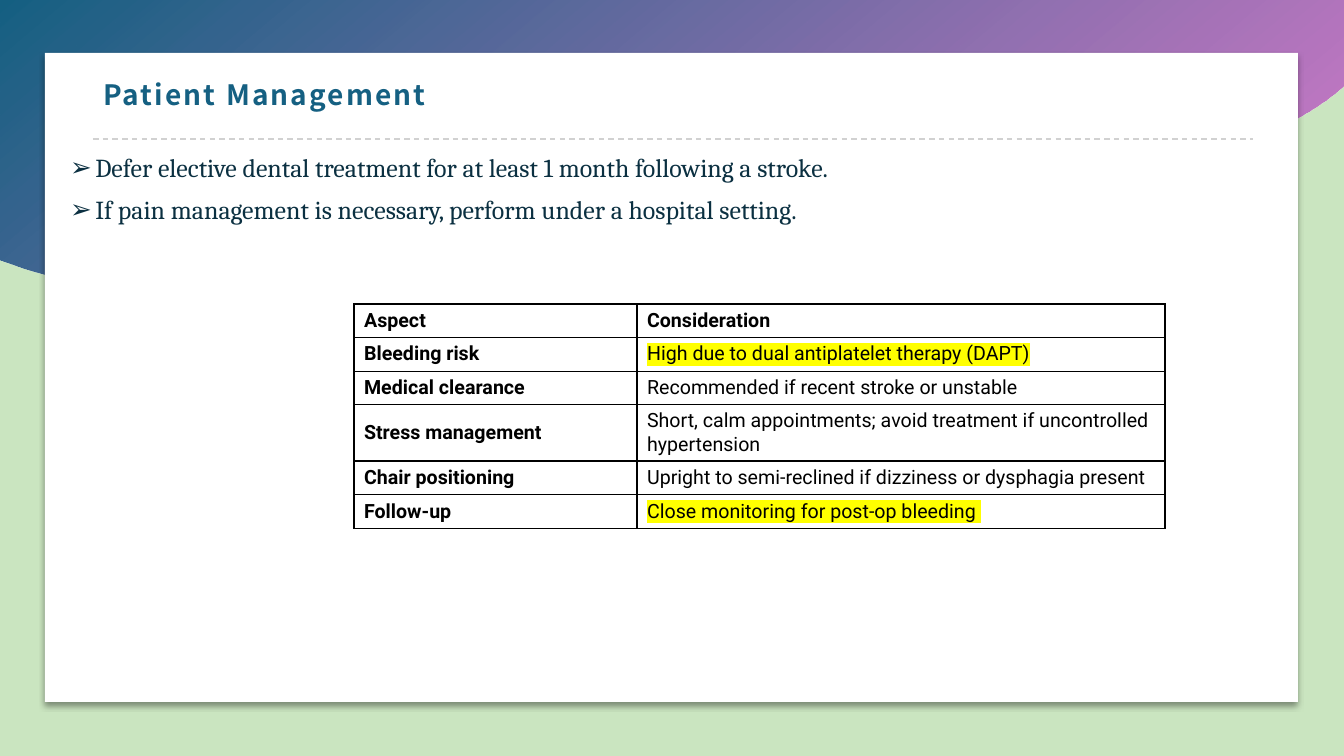
from lxml import etree
from pptx import Presentation
from pptx import util as u
from pptx.dml.color import RGBColor
from pptx.enum import dml, shapes, text
from pptx.oxml import parse_xml
from pptx.oxml.ns import qn

PX = 914400 / 100.8
NS = 'xmlns:a="http://schemas.openxmlformats.org/drawingml/2006/main"'


def px(n):
    return u.Emu(round(n * PX))


def rgb(h):
    return RGBColor.from_string(h)


def apply(obj, values):
    for name, value in values.items():
        setattr(obj, name, value)


def bezier(p0, p1, p2, p3, steps=30):
    for i in range(1, steps + 1):
        t = i / steps
        yield tuple((1 - t) ** 3 * a + 3 * t * (1 - t) ** 2 * b + 3 * t * t * (1 - t) * c + t ** 3 * d
                    for a, b, c, d in zip(p0, p1, p2, p3))


class SlideBuilder:
    TITLE = dict(size=u.Pt(20), name="Noto Sans CJK JP", bold=True)
    BODY = dict(size=u.Pt(18.5), name="Cambria", bold=False)
    CELL = dict(size=u.Pt(14), name="Roboto")

    def __init__(self, prs, background):
        self.s = prs.slides.add_slide(prs.slide_layouts[1])
        fill = self.s.background.fill
        fill.solid()
        fill.fore_color.rgb = rgb(background)

    def run(self, p, words, style, color, highlight=None, **extra):
        r = p.add_run()
        r.text = words
        apply(r.font, {**style, **extra})
        r.font.color.rgb = rgb(color)
        rPr = r.font._element
        if highlight:
            rPr.find(qn("a:solidFill")).addnext(parse_xml(
                f'<a:highlight {NS}><a:srgbClr val="{highlight}"/></a:highlight>'))
        return rPr

    def wave(self, start, curves, corner, stops, alpha, angle):
        points, here = [], start
        for curve in curves:
            points += bezier(here, *curve)
            here = curve[-1]
        tenths = [(x * 10, y * 10) for x, y in [start, *points, corner]]
        fb = self.s.shapes.build_freeform(0, 0, scale=PX / 10)
        fb.add_line_segments(tenths, close=True)
        sp = fb.convert_to_shape()
        sp.shadow.inherit = False
        sp.line.fill.background()
        sp.fill.gradient()
        sp.fill.gradient_angle = 360 - angle
        for stop, color in zip(sp.fill.gradient_stops, stops):
            stop.color.rgb = rgb(color)
        last = sp._element.spPr.findall(".//" + qn("a:srgbClr"))[-1]
        etree.SubElement(last, qn("a:alpha")).set("val", str(alpha * 1000))

    def card(self, x, y, w, h, color):
        sp = self.s.shapes.add_shape(shapes.MSO_SHAPE.RECTANGLE, px(x), px(y), px(w), px(h))
        sp.fill.solid()
        sp.fill.fore_color.rgb = rgb(color)
        sp.line.fill.background()
        sp.shadow.inherit = False
        sp._element.spPr.find(qn("a:effectLst")).append(parse_xml(
            f'<a:outerShdw {NS} blurRad="{u.Pt(4)}" dist="{u.Pt(3)}" dir="5400000" algn="t" '
            'rotWithShape="0"><a:srgbClr val="000000"><a:alpha val="40000"/></a:srgbClr></a:outerShdw>'))

    def rule(self, x1, x2, y, color):
        line = self.s.shapes.add_connector(shapes.MSO_CONNECTOR.STRAIGHT, px(x1), px(y), px(x2), px(y))
        line.line.color.rgb = rgb(color)
        apply(line.line, dict(width=u.Pt(1), dash_style=dml.MSO_LINE.DASH))
        etree.SubElement(line._element.spPr, qn("a:effectLst"))

    def place(self, idx, x, y, w, h, anchor):
        sp = self.s.placeholders[idx]
        apply(sp, dict(left=px(x), top=px(y), width=px(w), height=px(h)))
        apply(sp.text_frame, dict(vertical_anchor=anchor, word_wrap=True, auto_size=text.MSO_AUTO_SIZE.NONE))
        self.s.shapes._spTree.append(sp._element)  # bring above the card
        return sp.text_frame

    def title(self, words, box, color):
        p = self.place(0, *box, text.MSO_ANCHOR.MIDDLE).paragraphs[0]
        apply(p, dict(alignment=text.PP_ALIGN.LEFT, line_spacing=0.9))
        self.run(p, words, self.TITLE, color).set("spc", "150")

    def bullets(self, items, box, color):
        tf = self.place(1, *box, text.MSO_ANCHOR.TOP)
        for i, item in enumerate(items):
            p = tf.add_paragraph() if i else tf.paragraphs[0]
            apply(p, dict(line_spacing=0.9, space_before=u.Pt(10), alignment=text.PP_ALIGN.LEFT))
            pPr = p._p.get_or_add_pPr()
            pPr.set("marL", str(u.Inches(0.25)))
            pPr.set("indent", str(-u.Inches(0.25)))
            etree.SubElement(pPr, qn("a:buFont")).set("typeface", "Wingdings 3")
            pPr[-1].set("typeface", "Arial")
            etree.SubElement(pPr, qn("a:buChar")).set("char", "➢")
            self.run(p, item, self.BODY, color)

    def table(self, rows, x, y, widths, heights, color, highlight, marked):
        frame = self.s.shapes.add_table(len(rows), len(widths), px(x), px(y), px(sum(widths)), px(sum(heights)))
        tbl = frame.table
        apply(tbl, dict(first_row=False, horz_banding=False))
        for col, w in zip(tbl.columns, widths):
            col.width = px(w)
        for row, h in zip(tbl.rows, heights):
            row.height = px(h)
        for i, words in enumerate(rows):
            for j, word in enumerate(words):
                cell = tbl.cell(i, j)
                cell.vertical_anchor = text.MSO_ANCHOR.MIDDLE
                self.run(cell.text_frame.paragraphs[0], word, self.CELL, color,
                         highlight if j and i in marked else None, bold=i == 0 or j == 0)
                self.borders(cell, color)
                cell.fill.background()

    def borders(self, cell, color):
        tcPr = cell._tc.get_or_add_tcPr()
        for side in "LRTB":
            tcPr.append(parse_xml(
                f'<a:ln{side} {NS} w="{u.Pt(1)}"><a:solidFill><a:srgbClr val="{color}"/>'
                f'</a:solidFill></a:ln{side}>'))


def main():
    prs = Presentation()
    apply(prs, dict(slide_width=px(1344), slide_height=px(756)))
    b = SlideBuilder(prs, "CAE5C0")

    # Backdrop: gradient wave, white card, dashed rule
    b.wave((0, 260),
           [((123, 306), (268, 313), (396, 276)),
            ((534, 237), (653, 152), (798, 137)),
            ((943, 122), (1097, 181), (1237, 143)),
            ((1277, 132), (1314, 112), (1344, 86))],
           (1344, 0), ("156082", "D86ECC"), alpha=90, angle=50)
    b.card(45, 53, 1253, 649, "FFFFFF")
    b.rule(93, 1253, 139, "D1D1D1")

    # Title and list
    b.title("Patient Management", (93, 64, 1159, 64), "156082")
    b.bullets(["Defer elective dental treatment for at least 1 month following a stroke.",
               "If pain management is necessary, perform under a hospital setting."],
              (60, 150, 1030, 86), "0B3041")

    # Considerations table
    b.table([("Aspect", "Consideration"),
             ("Bleeding risk", "High due to dual antiplatelet therapy (DAPT)"),
             ("Medical clearance", "Recommended if recent stroke or unstable"),
             ("Stress management", "Short, calm appointments; avoid treatment if uncontrolled hypertension"),
             ("Chair positioning", "Upright to semi-reclined if dizziness or dysphagia present"),
             ("Follow-up", "Close monitoring for post-op bleeding ")],
            354, 304, (283, 528), (33, 34, 33, 56, 33, 34), "000000", "FFFF00", marked=(1, 5))

    prs.save("out.pptx")


if __name__ == "__main__":
    main()
